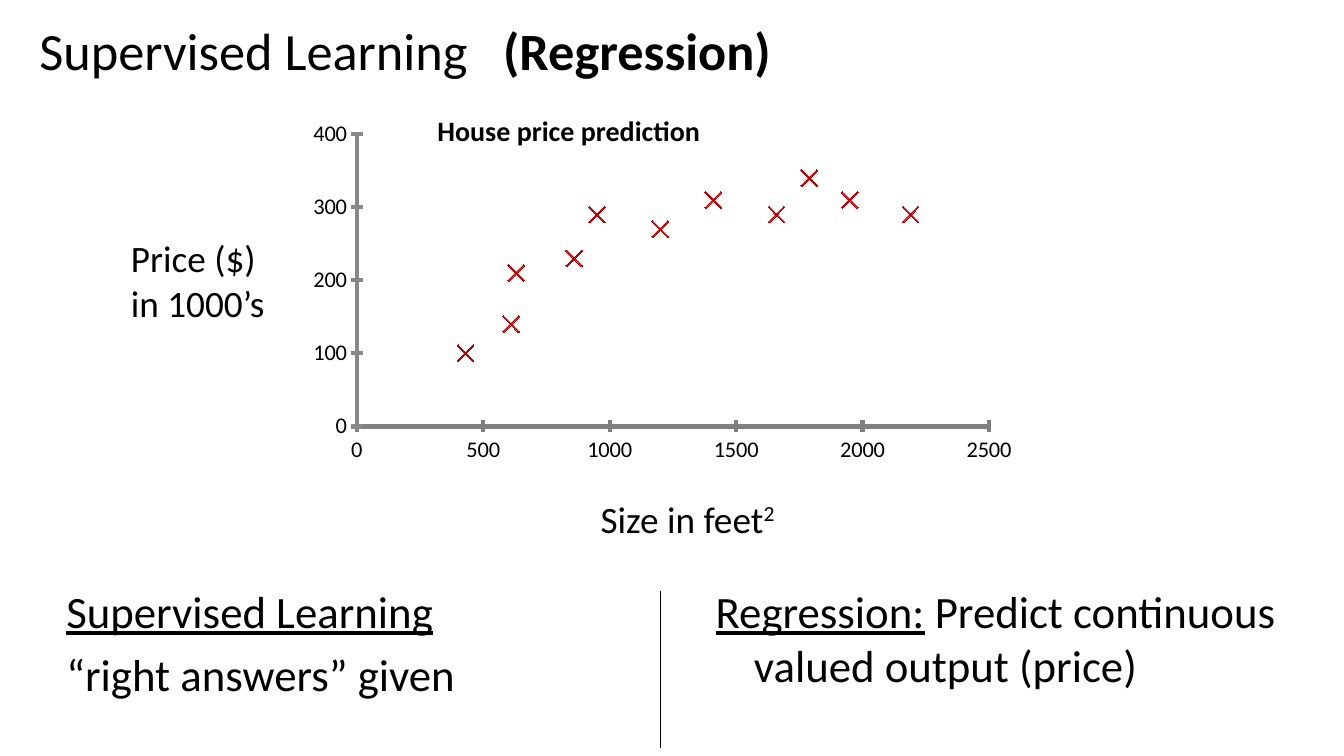
from dataclasses import dataclass

from lxml import etree
from pptx import Presentation
from pptx.chart.data import XyChartData
from pptx.dml.color import RGBColor
from pptx.enum.chart import XL_CHART_TYPE, XL_MARKER_STYLE, XL_TICK_MARK
from pptx.enum.shapes import MSO_CONNECTOR
from pptx.enum.text import MSO_ANCHOR, MSO_AUTO_SIZE, PP_ALIGN
from pptx.oxml.ns import qn
from pptx.util import Inches, Pt

SCATTER = XL_CHART_TYPE.XY_SCATTER
CROSS_MARKER = XL_MARKER_STYLE.X
CROSS_TICK = XL_TICK_MARK.CROSS
STRAIGHT = MSO_CONNECTOR.STRAIGHT
TOP = MSO_ANCHOR.TOP
FIXED_SIZE = MSO_AUTO_SIZE.NONE
LEFT, CENTER = PP_ALIGN.LEFT, PP_ALIGN.CENTER

FONT = "Calibri"
BLACK = "000000"
RED = "C00000"
HANGING = 0.38
HOUSES = [
    (430, 100), (610, 140), (630, 210), (860, 230), (950, 290), (1200, 270),
    (1410, 310), (1660, 290), (1790, 340), (1950, 310), (2190, 290),
]
PLOT_LAYOUT = {
    "layoutTarget": "inner", "xMode": "edge", "yMode": "edge",
    "x": "0.136", "y": "0.066", "w": "0.776", "h": "0.759",
}


@dataclass
class Piece:
    """A stretch of text in one style."""

    text: str
    bold: bool = False
    underline: bool = False
    raised: bool = False


@dataclass
class TextBlock:
    """A box of paragraphs, each a list of pieces."""

    box: tuple[float, float, float, float]
    size: float
    paragraphs: list[list[Piece]]
    align: PP_ALIGN = LEFT
    hanging: float = 0
    wrap: bool = True
    tab: float = 0


@dataclass
class AxisStyle:
    """Scale and line colour of one chart axis."""

    maximum: int
    step: int
    color: str


TITLE = TextBlock(
    (0.29, 0.13, 12, 1.33), 37.4,
    [[Piece("Supervised Learning\t"), Piece("(Regression)", bold=True)]], tab=4.6,
)
BLOCKS = [
    TextBlock((1.2, 2.29, 1.53, 1), 26.6,
              [[Piece("Price ($)")], [Piece("in 1000’s")]], wrap=False),
    TextBlock((5.81, 4.87, 2.02, 0.55), 26.6,
              [[Piece("Size in feet"), Piece("2", raised=True)]], CENTER, wrap=False),
    TextBlock((7, 5.74, 6, 1.33), 32,
              [[Piece("Regression:", underline=True),
                Piece(" Predict continuous valued output (price)")]], hanging=HANGING),
    TextBlock((0.56, 5.74, 6, 1.33), 32,
              [[Piece("Supervised Learning", underline=True)],
               [Piece("“right answers” given")]], hanging=HANGING),
    TextBlock((4.24, 1.08, 6.67, 0.44), 20,
              [[Piece("House price prediction", bold=True)]]),
]


def rgb(color: str) -> RGBColor:
    """Turn a hex string into a colour."""
    return RGBColor.from_string(color)


def apply_format(target, values: dict) -> None:
    """Set each named attribute on the target."""
    for name, value in values.items():
        setattr(target, name, value)


def format_font(font, size: float, **extra) -> None:
    """Give a font the slide's typeface and colour."""
    apply_format(font, {"name": FONT, "size": Pt(size), **extra})
    font.color.rgb = rgb(BLACK)


def fill_text(shape, block: TextBlock) -> None:
    """Write a block's paragraphs into a shape."""
    frame = shape.text_frame
    apply_format(frame, {"word_wrap": block.wrap, "auto_size": FIXED_SIZE,
                         "vertical_anchor": TOP})
    for index, pieces in enumerate(block.paragraphs):
        paragraph = frame.add_paragraph() if index else frame.paragraphs[0]
        properties = paragraph._p.get_or_add_pPr()
        if block.hanging:
            properties.set("marL", str(Inches(block.hanging)))
            properties.set("indent", str(-Inches(block.hanging)))
            if index:
                paragraph.space_before = Pt(block.size * 0.2)
        if block.tab:
            tabs = etree.SubElement(properties, qn("a:tabLst"))
            etree.SubElement(tabs, qn("a:tab"), pos=str(Inches(block.tab)), algn="l")
        paragraph.alignment = block.align
        for piece in pieces:
            run = paragraph.add_run()
            run.text = piece.text
            format_font(run.font, block.size, bold=piece.bold, underline=piece.underline)
            if piece.raised:
                run._r.get_or_add_rPr().set("baseline", "30000")


def add_title(slide, block: TextBlock) -> None:
    """Place and fill the title placeholder."""
    title = slide.shapes.title
    names = ("left", "top", "width", "height")
    apply_format(title, dict(zip(names, map(Inches, block.box))))
    fill_text(title, block)


def style_axis(axis, style: AxisStyle) -> None:
    """Format a chart axis."""
    apply_format(axis, {
        "minimum_scale": 0, "maximum_scale": style.maximum, "major_unit": style.step,
        "has_major_gridlines": False, "major_tick_mark": CROSS_TICK,
    })
    axis.format.line.color.rgb = rgb(style.color)
    axis.format.line.width = Pt(3)
    format_font(axis.tick_labels.font, 16)


def add_price_chart(slide) -> None:
    """Add the scatter chart of house prices by size."""
    data = XyChartData()
    points = data.add_series("Series 1")
    for size, price in HOUSES:
        points.add_data_point(size, price)
    box = map(Inches, (2.44, 1.08, 8.08, 3.82))
    chart = slide.shapes.add_chart(SCATTER, *box, data).chart
    apply_format(chart, {"has_title": False, "has_legend": False})
    format_font(chart.font, 10)
    style_axis(chart.category_axis, AxisStyle(2500, 500, "808080"))
    style_axis(chart.value_axis, AxisStyle(400, 100, "888888"))

    plot = chart.plots[0]
    plot.vary_by_categories = False
    series = plot.series[0]
    series.smooth = False
    series.format.line.fill.background()
    marker = series.marker
    apply_format(marker, {"style": CROSS_MARKER, "size": 12})
    marker.format.fill.solid()
    marker.format.fill.fore_color.rgb = rgb(RED)
    marker.format.line.color.rgb = rgb(RED)

    area = chart._chartSpace.find(".//" + qn("c:plotArea"))
    for layout in area.findall(qn("c:layout")):
        area.remove(layout)
    layout = etree.Element(qn("c:layout"))
    manual = etree.SubElement(layout, qn("c:manualLayout"))
    for name, value in PLOT_LAYOUT.items():
        etree.SubElement(manual, qn(f"c:{name}"), val=value)
    area.insert(0, layout)


def add_divider(slide) -> None:
    """Draw the line between the two definitions."""
    ends = map(Inches, (6.55, 5.86, 6.55, 7.42))
    divider = slide.shapes.add_connector(STRAIGHT, *ends)
    divider.line.color.rgb = rgb(BLACK)
    divider.line.width = Pt(0.75)
    etree.SubElement(divider._element.spPr, qn("a:effectLst"))


def main() -> None:
    """Build and save the slide."""
    presentation = Presentation()
    apply_format(presentation, {"slide_width": Inches(13.33), "slide_height": Inches(7.5)})
    slide = presentation.slides.add_slide(presentation.slide_layouts[5])
    add_title(slide, TITLE)
    add_price_chart(slide)
    for block in BLOCKS:
        fill_text(slide.shapes.add_textbox(*map(Inches, block.box)), block)
    add_divider(slide)
    presentation.save("out.pptx")


if __name__ == "__main__":
    main()
